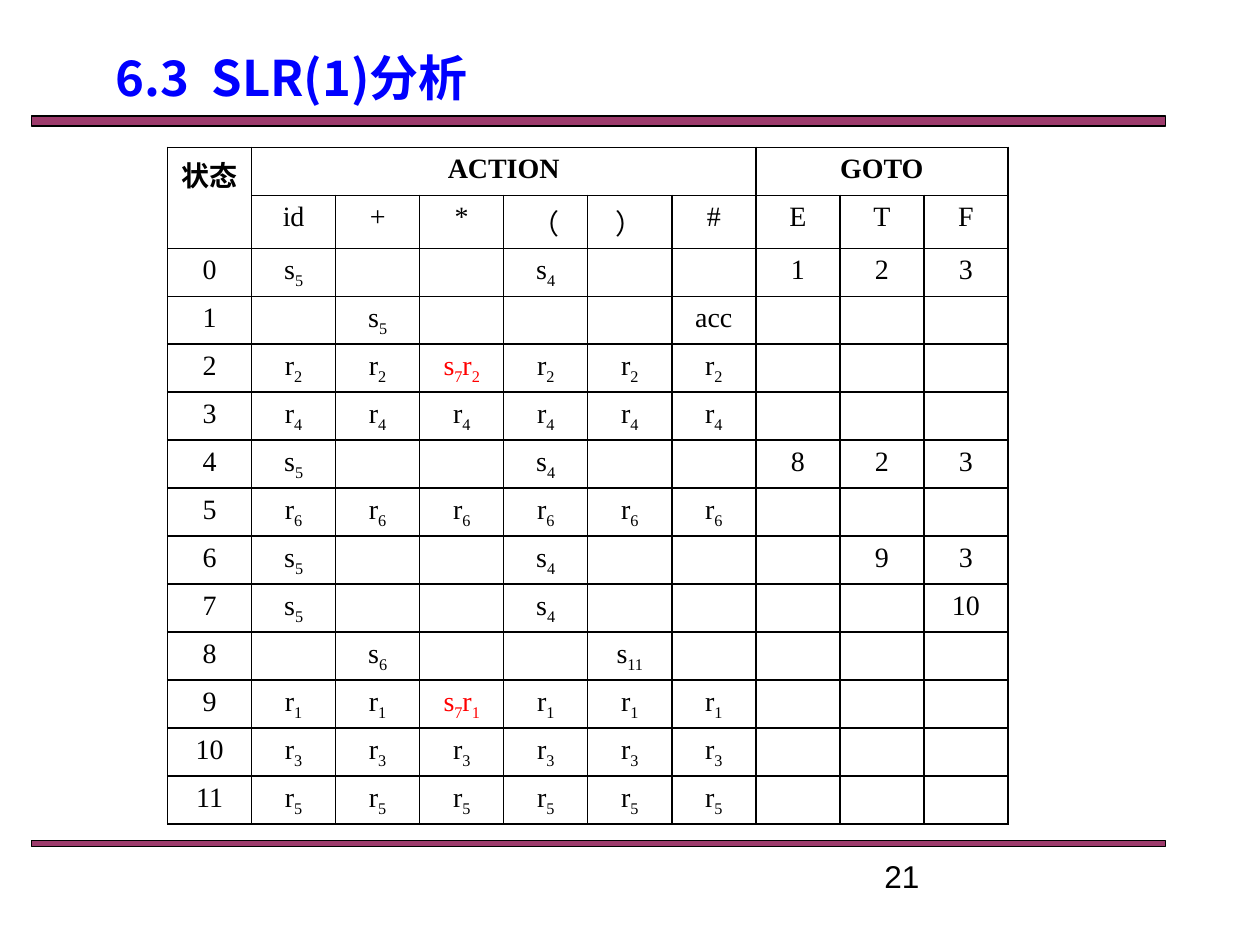
from lxml import etree
from pptx import Presentation
from pptx.dml.color import RGBColor
from pptx.enum.shapes import MSO_SHAPE
from pptx.enum.text import MSO_ANCHOR, PP_ALIGN
from pptx.oxml.ns import qn
from pptx.util import Inches, Pt

RECTANGLE = MSO_SHAPE.RECTANGLE
CENTER = PP_ALIGN.CENTER
LEFT = PP_ALIGN.LEFT
TOP = MSO_ANCHOR.TOP
BLACK = RGBColor(0x00, 0x00, 0x00)
BLUE = RGBColor(0x00, 0x00, 0xFF)
RED = RGBColor(0xFF, 0x00, 0x00)
PLUM = RGBColor(0x99, 0x33, 0x66)
TITLE_FONT = "Noto Sans CJK SC"
TABLE_FONT = "Times New Roman"
TABLE_SIZE = 16
SYMBOL_ROW_HEIGHT = Inches(0.42)

HEADER = [
    ["状态", "ACTION", "", "", "", "", "", "GOTO", "", ""],
    ["", "id", "+", "*", "（", "）", "#", "E", "T", "F"],
]
SHIFT = ["s_5", "", "", "s_4", "", ""]
NO_GOTO = ["", "", ""]


def reduce_row(rule, conflict=False):
    """Return the cells of a state that reduces by one rule."""
    cells = [f"r_{rule}"] * 6
    if conflict:
        cells[2] = f"s_7 r_{rule}"
    return cells + NO_GOTO


STATES = [
    SHIFT + ["1", "2", "3"],
    ["", "s_5", "", "", "", "acc"] + NO_GOTO,
    reduce_row(2, conflict=True),
    reduce_row(4),
    SHIFT + ["8", "2", "3"],
    reduce_row(6),
    SHIFT + ["", "9", "3"],
    SHIFT + ["", "", "10"],
    ["", "s_6", "", "", "s_11", ""] + NO_GOTO,
    reduce_row(1, conflict=True),
    reduce_row(3),
    reduce_row(5),
]


def style_font(font, name, size, color, bold=False):
    """Set the face, size, colour and weight of a font."""
    font.name = name
    font.size = Pt(size)
    font.color.rgb = color
    font.bold = bold


def add_title(page, left, top, width, height):
    """Place and format the title placeholder."""
    title = page.shapes.title
    title.left, title.top, title.width, title.height = left, top, width, height
    frame = title.text_frame
    frame.text = "6.3  SLR(1)分析"
    frame.word_wrap = False
    frame.vertical_anchor = TOP
    para = frame.paragraphs[0]
    para.alignment = LEFT
    style_font(para.font, TITLE_FONT, 28, BLUE, bold=True)
    defaults = para._p.pPr.find(qn("a:defRPr"))
    etree.SubElement(defaults, qn("a:ea"), typeface=TITLE_FONT)


def add_bar(page, left, top, width, height):
    """Add a slightly transparent horizontal bar."""
    bar = page.shapes.add_shape(RECTANGLE, left, top, width, height)
    bar.shadow.inherit = False
    bar.fill.solid()
    bar.fill.fore_color.rgb = PLUM
    color = bar._element.spPr.find(qn("a:solidFill"))[0]
    etree.SubElement(color, qn("a:alpha"), val="96000")
    bar.line.color.rgb = BLACK
    bar.line.width = Pt(0.75)


def add_page_number(page, left, top, width, height):
    """Add the page number."""
    frame = page.shapes.add_textbox(left, top, width, height).text_frame
    frame.word_wrap = True
    frame.text = "21"
    style_font(frame.paragraphs[0].font, "Arial", 18, BLACK)


def set_borders(cell):
    """Draw a thin black line on each side of a cell."""
    properties = cell._tc.get_or_add_tcPr()
    for index, side in enumerate(("a:lnL", "a:lnR", "a:lnT", "a:lnB")):
        line = etree.Element(qn(side), w=str(Pt(1)))
        fill = etree.SubElement(line, qn("a:solidFill"))
        etree.SubElement(fill, qn("a:srgbClr"), val=str(BLACK))
        properties.insert(index, line)


def fill_cell(cell, entry, bold):
    """Write an entry, whose parts may each carry a subscript."""
    cell.fill.background()
    cell.margin_bottom = 0
    set_borders(cell)
    para = cell.text_frame.paragraphs[0]
    para.alignment = CENTER
    parts = entry.split()
    color = RED if len(parts) > 1 else BLACK
    style_font(para.font, TABLE_FONT, TABLE_SIZE, color, bold)
    for part in parts:
        base, _, subscript = part.partition("_")
        para.add_run().text = base
        if subscript:
            span = para.add_run()
            span.text = subscript
            span._r.get_or_add_rPr().set("baseline", "-25000")


def add_parse_table(page, left, top, width, height):
    """Add the table of actions and gotos for each state."""
    rows = HEADER + [[str(state)] + cells for state, cells in enumerate(STATES)]
    shape = page.shapes.add_table(len(rows), len(rows[0]), left, top, width, height)
    table = shape.table
    table.first_row = table.horz_banding = False
    table.rows[1].height = SYMBOL_ROW_HEIGHT
    for row, entries in enumerate(rows):
        for column, entry in enumerate(entries):
            fill_cell(table.cell(row, column), entry, bold=row == 0)
    for first, last in (((0, 0), (1, 0)), ((0, 1), (0, 6)), ((0, 7), (0, 9))):
        table.cell(*first).merge(table.cell(*last))


def main():
    """Build the slide and save the deck."""
    deck = Presentation()
    deck.slide_width, deck.slide_height = Inches(10), Inches(7.5)
    page = deck.slides.add_slide(deck.slide_layouts[5])
    add_bar(page, Inches(0.25), Inches(0.92), Inches(9), Inches(0.08))
    add_bar(page, Inches(0.25), Inches(6.67), Inches(9), Inches(0.05))
    add_title(page, Inches(0.82), Inches(0.33), Inches(3.49), Inches(0.5))
    add_page_number(page, Inches(6.92), Inches(6.75), Inches(2.33), Inches(0.27))
    add_parse_table(page, Inches(1.33), Inches(1.17), Inches(6.67), Inches(5.33))
    deck.save("out.pptx")


if __name__ == "__main__":
    main()
